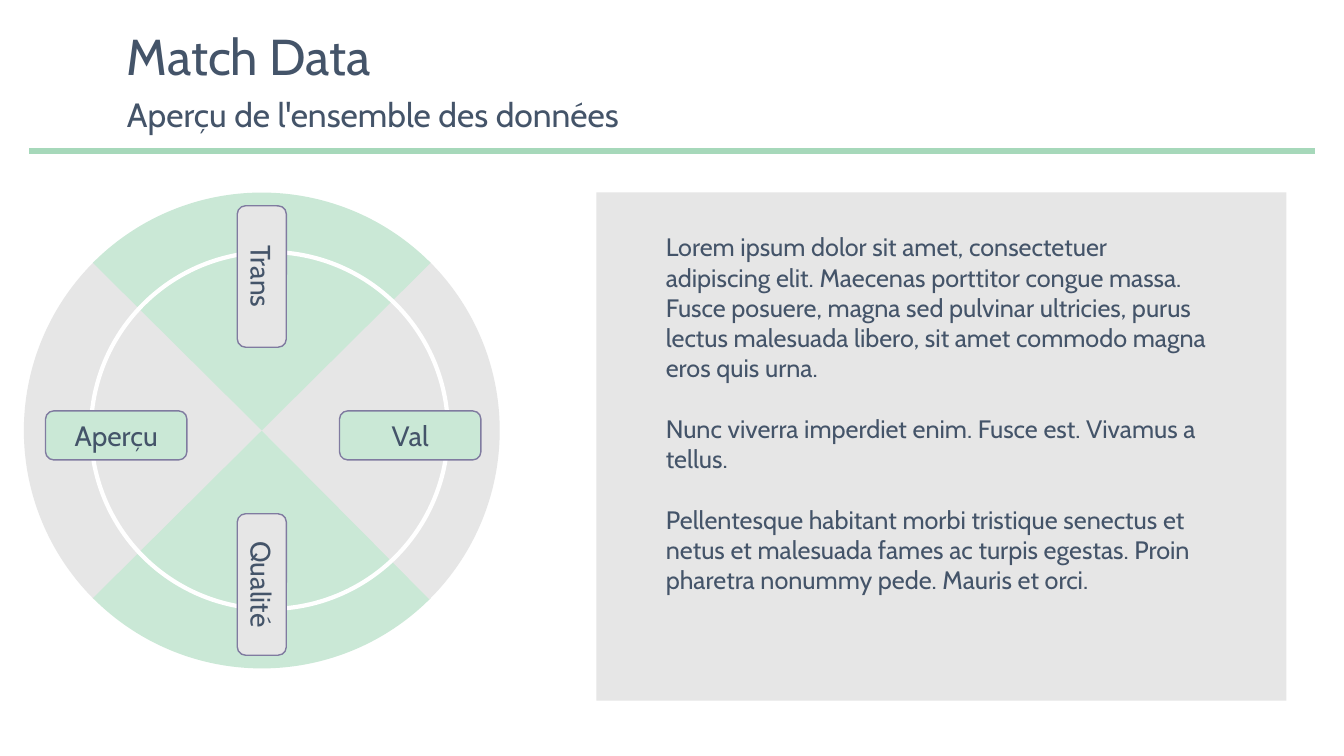
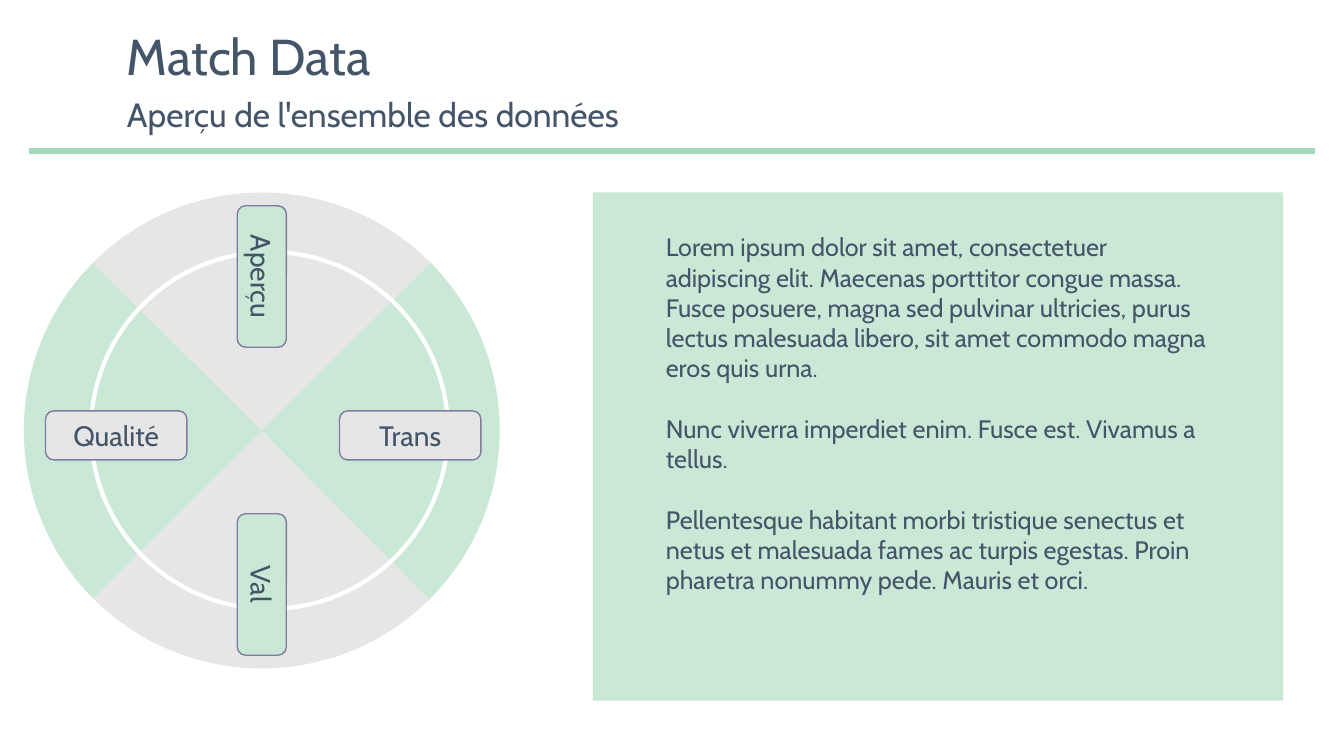
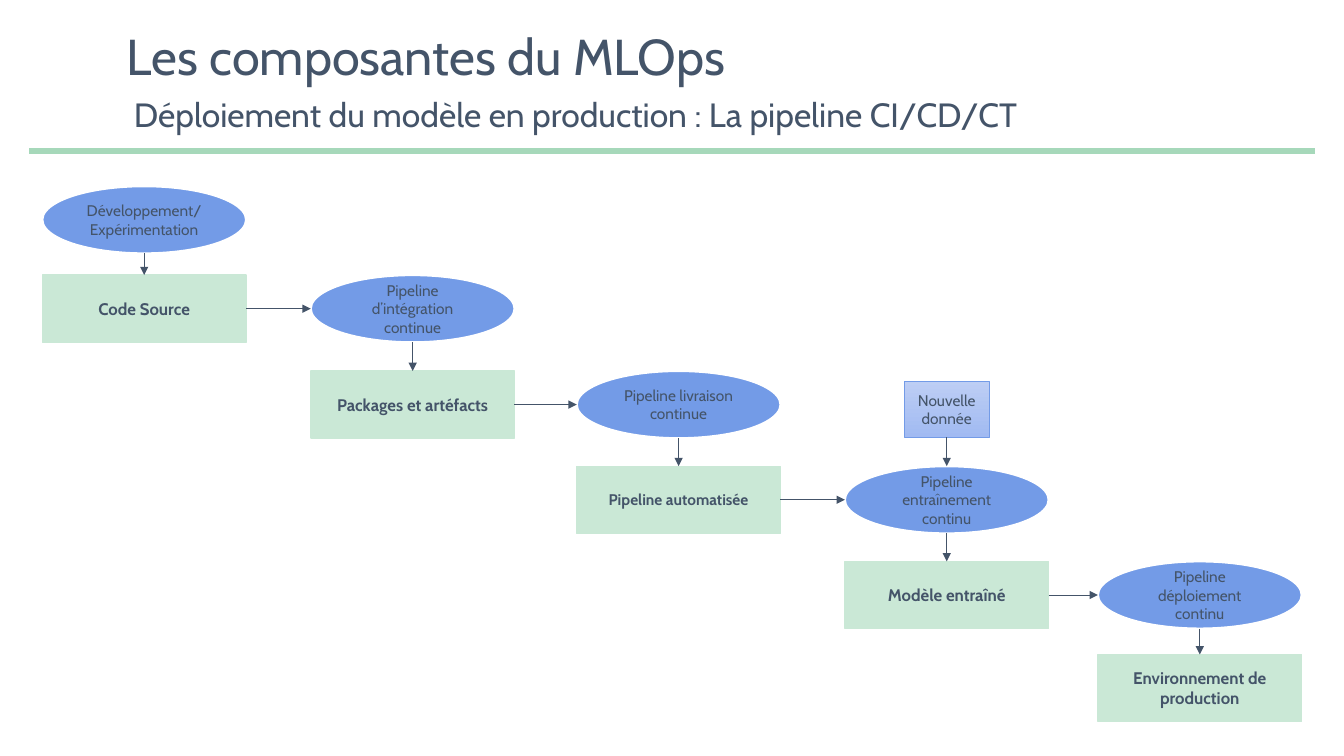
from lxml.etree import SubElement
from pptx import Presentation
from pptx.dml.color import RGBColor
from pptx.enum.shapes import MSO_CONNECTOR as LINE, MSO_SHAPE as SHAPE
from pptx.enum.text import MSO_ANCHOR as ANCHOR, MSO_AUTO_SIZE as AUTO, PP_ALIGN as ALIGN
from pptx.oxml.ns import qn
from pptx.util import Pt

FONT = "Cabin"
COLORS = {
    "ink": "445469",
    "rule": "A6D8BA",
    "green": "CAE8D6",
    "grey": "E6E6E6",
    "white": "FFFFFF",
    "violet": "807BA0",
    "blue": "739BE7",
    "blue_top": "BDCEF4",
    "blue_bottom": "A1BAF2",
}
TOP, BOTTOM_SITE, RIGHT_SITE = 0, 2, 3

LOREM = [
    "Lorem ipsum dolor sit amet, consectetuer adipiscing elit. Maecenas porttitor "
    "congue massa. Fusce posuere, magna sed pulvinar ultricies, purus lectus malesuada "
    "libero, sit amet commodo magna eros quis urna.",
    "Nunc viverra imperdiet enim. Fusce est. Vivamus a tellus.",
    "Pellentesque habitant morbi tristique senectus et netus et malesuada fames ac "
    "turpis egestas. Proin pharetra nonummy pede. Mauris et orci.",
]

# Left edge, activity (oval), result (rectangle), text size of the result
STEPS = [
    (30.25, "Développement/ Expérimentation", "Code Source", 12),
    (222, "Pipeline d’intégration continue", "Packages et artéfacts", 12),
    (412, "Pipeline livraison continue", "Pipeline automatisée", 11),
    (603.5, "Pipeline entraînement continu", "Modèle entraîné", 12),
    (784.25, "Pipeline déploiement continu", "Environnement de production", 12),
]
ROWS = [133, 196.5, 265, 333, 401, 467.5]
STEP_W, STEP_H = 145.5, 48


def rgb(name):
    return RGBColor.from_string(COLORS[name])


def place(shape, x, y, w, h):
    shape.left, shape.top, shape.width, shape.height = Pt(x), Pt(y), Pt(w), Pt(h)


def set_font(p, size, bold=False):
    p.font.name, p.font.size, p.font.bold = FONT, Pt(size), bold
    p.font.color.rgb = rgb("ink")


def add_box(s, kind, x, y, w, h, fill=None, line=None, weight=1.0):
    shape = s.shapes.add_shape(kind, Pt(x), Pt(y), Pt(w), Pt(h))
    shape.shadow.inherit = False
    if fill:
        shape.fill.solid()
        shape.fill.fore_color.rgb = rgb(fill)
    else:
        shape.fill.background()
    if line:
        shape.line.color.rgb = rgb(line)
        shape.line.width = Pt(weight)
    else:
        shape.line.fill.background()
    return shape


def label(shape, text, size, bold=False):
    tf = shape.text_frame
    tf.word_wrap = True
    tf.vertical_anchor = ANCHOR.MIDDLE
    p = tf.paragraphs[0]
    p.text, p.alignment = text, ALIGN.CENTER
    set_font(p, size, bold)


def add_line(s, x1, y1, x2, y2, color, weight, arrow=False):
    line = s.shapes.add_connector(LINE.STRAIGHT, Pt(x1), Pt(y1), Pt(x2), Pt(y2))
    line.line.color.rgb = rgb(color)
    line.line.width = Pt(weight)
    props = line.element.spPr
    if arrow:
        SubElement(props.find(qn("a:ln")), qn("a:tailEnd"), type="triangle")
    SubElement(props, qn("a:effectLst"))
    return line


def prepare_layout(layout, s):
    """Place the title, the subtitle and the green rule once, on the layout."""
    place(layout.placeholders[0], 83.5, 18, 855.5, 49)
    place(layout.placeholders[1], 83.5, 67, 855.5, 36.5)
    rule = add_line(s, 21, 108, 939.5, 108, "rule", 4.5)
    layout.shapes.element.append(rule.element)


def header(s, title, subtitle, indent=0):
    texts = ((s.shapes.title, title, 36, ANCHOR.MIDDLE),
             (s.placeholders[1], subtitle, 24, ANCHOR.TOP))
    for holder, text, size, anchor in texts:
        tf = holder.text_frame
        tf.auto_size, tf.vertical_anchor = AUTO.NONE, anchor
        p = tf.paragraphs[0]
        p.text = text
        props = p._p.get_or_add_pPr()
        props.set("marL", "0")
        props.set("indent", "0")
        SubElement(props, qn("a:buNone"))
        p.alignment, p.line_spacing, p.space_before = ALIGN.LEFT, 0.9, Pt(0)
        set_font(p, size)
    tf.margin_left = Pt(7.2 + indent)


def wheel(s, x, y, d, labels, side, cap):
    """Four wedges; side colours left and right, cap colours top and bottom."""
    for turn, color in ((180, side), (90, cap), (0, side), (270, cap)):
        wedge = add_box(s, SHAPE.PIE, x, y, d, d, color)
        wedge.adjustments[0], wedge.adjustments[1] = 188.88, 27.12
        wedge.rotation = turn

    cx, cy, ring = x + d / 2, y + d / 2, d * 0.75
    add_box(s, SHAPE.OVAL, cx + 5.5 - ring / 2, cy - ring / 2, ring, ring,
            line="white", weight=3)

    w, h = 101, 35
    spots = ((106, 3.5, 0, cap), (-104, 3.5, 0, cap),
             (0, -110, 90, side), (0, 110, 90, side))
    for text, (dx, dy, turn, color) in zip(labels, spots):
        tag = add_box(s, SHAPE.ROUNDED_RECTANGLE, cx + dx - w / 2, cy + dy - h / 2,
                      w, h, color, "violet")
        tag.rotation = turn
        label(tag, text, 20)


def text_panel(s, x, y, w, h, color, text_x):
    add_box(s, SHAPE.RECTANGLE, x, y, w, h, color)
    box = s.shapes.add_textbox(Pt(text_x), Pt(y + 24.5), Pt(408), Pt(291))
    tf = box.text_frame
    tf.word_wrap = True
    for i, text in enumerate(LOREM):
        p = tf.add_paragraph() if i else tf.paragraphs[0]
        p.text = text
        p.space_before = Pt(21.6 if i else 0)
        set_font(p, 18)


def wheel_slide(s, labels, side, cap, panel_x):
    header(s, "Match Data", "Aperçu de l'ensemble des données")
    text_panel(s, panel_x, 137.5, 493, 363, side, 468.5)
    wheel(s, 17, 137.5, 340, labels, side, cap)


def new_data(s, cx, bottom, target):
    """Gradient box centred on cx, with an arrow down to the target."""
    w, h = 61, 40
    box = add_box(s, SHAPE.RECTANGLE, cx - w / 2, bottom - h, w, h, "blue", "blue", 0.5)
    box.fill.gradient()
    box.fill.gradient_angle = 270
    for stop, color in zip(box.fill.gradient_stops, ("blue_top", "blue_bottom")):
        stop.color.rgb = rgb(color)
    label(box, "Nouvelle donnée", 11)
    arrow = add_line(s, cx, bottom, cx, bottom + 20, "ink", 0.5, arrow=True)
    arrow.begin_connect(box, BOTTOM_SITE)
    arrow.end_connect(target, TOP)


def pipeline_slide(s):
    header(s, "Les composantes du MLOps",
           "Déploiement du modèle en production : La pipeline CI/CD/CT", indent=5)
    previous = None
    for i, (x, activity, result, size) in enumerate(STEPS):
        y, below, cx = ROWS[i], ROWS[i + 1], x + STEP_W / 2
        oval = add_box(s, SHAPE.OVAL, x, y, STEP_W, STEP_H, "blue", "white", 1.5)
        label(oval, activity, 11)
        box = add_box(s, SHAPE.RECTANGLE, x, below, STEP_W, STEP_H, "green", "green")
        label(box, result, size, bold=True)
        down = add_line(s, cx, y + STEP_H, cx, below, "ink", 0.5, arrow=True)
        down.end_connect(box, TOP)
        if previous:
            mid = y + STEP_H / 2
            across = add_line(s, x - 40, mid, x, mid, "ink", 0.5, arrow=True)
            across.begin_connect(previous, RIGHT_SITE)
        if i == 3:
            new_data(s, cx, 312.5, oval)
        previous = box


def main():
    prs = Presentation()
    prs.slide_width, prs.slide_height = Pt(960), Pt(540)
    layout = prs.slide_layouts[1]
    first, second, third = [prs.slides.add_slide(layout) for _ in range(3)]
    prepare_layout(layout, first)
    wheel_slide(first, ("Val", "Aperçu", "Trans", "Qualité"), "grey", "green", 426)
    wheel_slide(second, ("Trans", "Qualité", "Aperçu", "Val"), "green", "grey", 423.5)
    pipeline_slide(third)
    prs.save("out.pptx")


if __name__ == "__main__":
    main()
